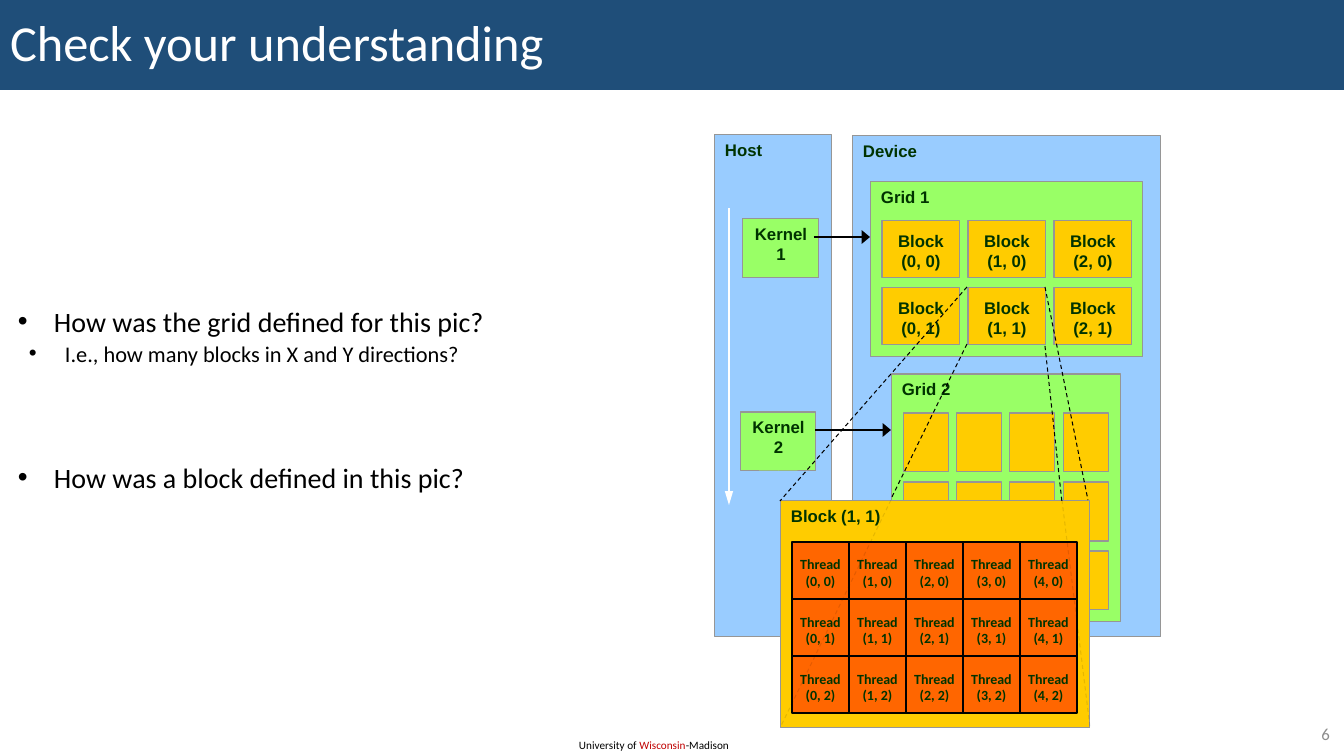
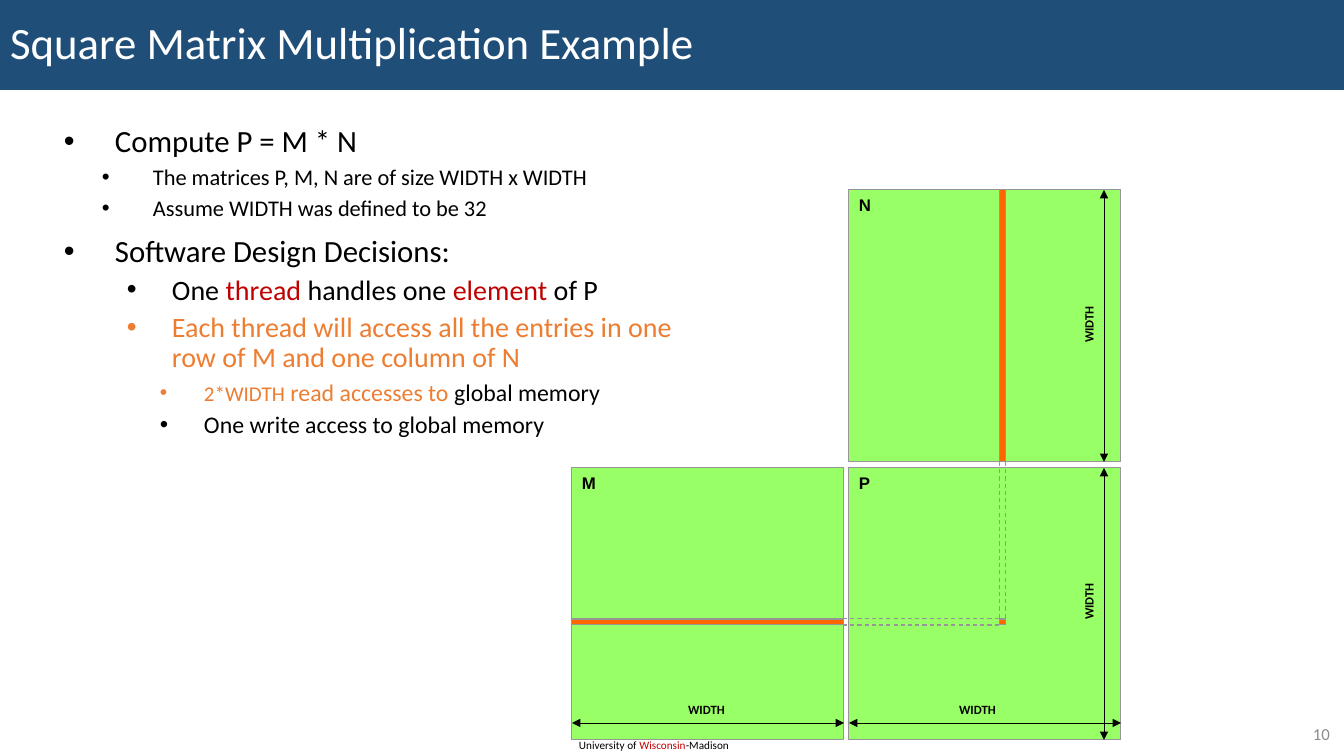
from pptx import Presentation
from pptx import util as u
from pptx.dml import color
from pptx.enum import dml, shapes, text
from pptx.oxml.ns import qn
from lxml import etree

PX = 12192000 / 1344
rgb = color.RGBColor.from_string
LEFT, CENTER, RIGHT = text.PP_ALIGN.LEFT, text.PP_ALIGN.CENTER, text.PP_ALIGN.RIGHT
TOP, MIDDLE = text.MSO_ANCHOR.TOP, text.MSO_ANCHOR.MIDDLE

NAVY, BLUE, GREEN = "1F4E79", "99CCFF", "99FF66"
YELLOW, ORANGE, ACCENT = "FFCC00", "FF6600", "ED7D31"
WHITE, BLACK, GRAY = "FFFFFF", "000000", "969696"
RED, INK, NUMBER = "C00000", "003300", "8C8C8C"


def box(s, x, y, w, h, label="", fill=None, edge=GRAY, size=12, font="Arial", ink=INK,
        bold=True, align=LEFT, anchor=TOP, inset=(10, 5, 10, 5)):
    at = [round(n * PX) for n in (x, y, w, h)]
    if fill:
        sp = s.shapes.add_shape(shapes.MSO_SHAPE.RECTANGLE, *at)
        sp.shadow.inherit = False
        sp.fill.solid()
        sp.fill.fore_color.rgb = rgb(fill)
        sp.line.color.rgb = rgb(edge)
        sp.line.width = u.Pt(1 if edge == BLACK else 0.75)
    else:
        sp = s.shapes.add_textbox(*at)
    tf = sp.text_frame
    tf.word_wrap = True
    tf.vertical_anchor = anchor
    tf.margin_left, tf.margin_top, tf.margin_right, tf.margin_bottom = [round(n * PX) for n in inset]
    if label:
        tf.text = label
    for p in tf.paragraphs:
        p.alignment = align
        for r in p.runs:
            r.font.size, r.font.name, r.font.bold = u.Pt(size), font, bold
            r.font.color.rgb = rgb(ink)
    return sp


def line(s, x1, y1, x2, y2, ink=BLACK, width=0.75, dash=False, ends=(), head=("med", "med"), alpha=None):
    at = [round(n * PX) for n in (x1, y1, x2, y2)]
    c = s.shapes.add_connector(shapes.MSO_CONNECTOR.STRAIGHT, *at)
    c.line.color.rgb = rgb(ink)
    c.line.width = u.Pt(width)
    if dash:
        c.line.dash_style = dml.MSO_LINE.DASH
    spPr = c._element.spPr
    ln = spPr.find(qn("a:ln"))
    if alpha:
        etree.SubElement(ln.find(".//" + qn("a:srgbClr")), qn("a:alpha"), val=str(alpha * 1000))
    for end in ends:
        etree.SubElement(ln, qn(end), type="triangle", w=head[0], len=head[1])
    etree.SubElement(spPr, qn("a:effectLst"))


TAIL = ("a:tailEnd",)
BOTH = ("a:headEnd", "a:tailEnd")

decks = [
    ("Check your understanding", 36, "6", (0, 306, 536, 220), 0.8, [
        (0, 44, 36, 0, [("How was the grid defined for this pic?", 20, BLACK)]),
        (1, 55, 36, 5, [("I.e., how many blocks in X and Y directions?", 16, BLACK)]),
        (0, 44, 36, 72, [("How was a block defined in this pic?", 20, BLACK)]),
    ]),
    ("Square Matrix Multiplication Example", 32, "10", (54, 121, 649, 361), 0.9, [
        (0, 51, 51, 0, [("Compute P = M * N", 22, BLACK)]),
        (1, 89, 51, 5, [("The matrices P, M, N are of size WIDTH x WIDTH", 16, BLACK)]),
        (1, 89, 51, 5, [("Assume WIDTH was defined to be 32", 16, BLACK)]),
        (0, 51, 51, 10, [("Software Design Decisions:", 22, BLACK)]),
        (1, 108, 45, 5, [("One ", 20, BLACK), ("thread", 20, RED), (" handles one ", 20, BLACK),
                         ("element", 20, RED), (" of P", 20, BLACK)]),
        (1, 108, 45, 5, [("Each thread will access all the entries in one row of M "
                          "and one column of N", 20, ACCENT)]),
        (2, 140, 44, 5, [("2*WIDTH", 15, ACCENT), (" read accesses to ", 17, ACCENT),
                         ("global memory", 17, BLACK)]),
        (2, 140, 44, 5, [("One write access to global memory", 17, BLACK)]),
    ]),
]
footer = (0, 0, 0, 0, [("University of ", 8, BLACK), ("Wisconsin", 8, RED), ("-Madison", 8, BLACK)])

prs = Presentation()
prs.slide_width, prs.slide_height = round(1344 * PX), round(756 * PX)

for title, title_size, number, body_at, spacing, body in decks:
    s = prs.slides.add_slide(prs.slide_layouts[6])
    foot = box(s, 569, 733, 173, 24)
    bar = box(s, 0, 0, 1344, 90, title, NAVY, size=title_size, font="Calibri", ink=WHITE,
              bold=False, anchor=MIDDLE)
    bar.line.fill.background()
    bar.text_frame.paragraphs[0].line_spacing = 0.9
    box(s, 1263, 719, 77, 29, number, font="Calibri", ink=NUMBER, bold=False, align=RIGHT, anchor=MIDDLE)
    main = box(s, *body_at)
    for sp, items, ls in ((foot, [footer], 1.0), (main, body, spacing)):
        tf = sp.text_frame
        for i, (level, left, hang, before, runs) in enumerate(items):
            p = tf.add_paragraph() if i else tf.paragraphs[0]
            if hang:
                pPr = p._p.get_or_add_pPr()
                pPr.set("marL", str(round(left * PX)))
                pPr.set("indent", str(-round(hang * PX)))
                etree.SubElement(pPr, qn("a:buFont"), typeface="Arial")
                etree.SubElement(pPr, qn("a:buChar"), char="•")
            p.level = level
            p.line_spacing = ls
            p.space_before = u.Pt(before)
            for words, size, ink in runs:
                r = p.add_run()
                r.text = words
                r.font.size, r.font.name = u.Pt(size), "Calibri"
                r.font.color.rgb = rgb(ink)

s = prs.slides[0]
box(s, 715, 135, 117, 502, "Host", BLUE)
box(s, 743, 219, 76, 59, "Kernel 1", GREEN, align=CENTER)
box(s, 741, 412, 75, 59, "Kernel 2", GREEN, align=CENTER)
line(s, 729, 208, 729, 505, WHITE, 1, ends=TAIL, head=("med", "lg"))
box(s, 853, 136, 308, 501, "Device", BLUE)
box(s, 871, 182, 272, 175, "Grid 1", GREEN)
for row in range(2):
    for col in range(3):
        box(s, 882 + 86 * col, 221 + 67 * row, 78, 57, f"Block\n({col}, {row})", YELLOW,
            align=CENTER, inset=(0, 10, 0, 0))
box(s, 892, 374, 229, 248, "Grid 2", GREEN)
for row, cols in enumerate((range(4), range(4), (3,))):
    for col in cols:
        box(s, 904 + 160 * col // 3, 413 + 69 * row, 45, 59, fill=YELLOW)

box(s, 781, 501, 309, 227, "Block (1, 1)", YELLOW)
CELL, ROWS, COLS, X0, Y0 = 57, 3, 5, 792, 542
box(s, X0, Y0, CELL * COLS, CELL * ROWS, fill=ORANGE, edge=BLACK)
for row in range(1, ROWS):
    line(s, X0, Y0 + CELL * row, X0 + CELL * COLS, Y0 + CELL * row, width=1)
for col in range(1, COLS):
    line(s, X0 + CELL * col, Y0, X0 + CELL * col, Y0 + CELL * ROWS, width=1)
for row in range(ROWS):
    for col in range(COLS):
        box(s, X0 + CELL * col, Y0 + 14 + CELL * row, CELL, 29, f"Thread\n({col}, {row})",
            size=10, font="Calibri", align=CENTER, inset=(0, 0, 0, 0))

line(s, 814, 237, 870, 237, width=1.5, ends=TAIL, head=("lg", "med"))
line(s, 815, 430, 891, 430, width=1.5, ends=TAIL, head=("lg", "med"))
for x1, y1, x2, y2, alpha in (
    (967, 287, 780, 501, None),
    (1045, 287, 1088, 500, None),
    (967, 344, 891, 499, None),
    (1045, 346, 1062, 502, None),
    (891, 500, 781, 726, 10),
    (1062, 500, 1090, 727, 10),
):
    line(s, x1, y1, x2, y2, dash=True, alpha=alpha)

s = prs.slides[1]
SIDE, BAR = 272, 6
for name, x, y in (("M", 572, 468), ("N", 849, 190), ("P", 849, 468)):
    box(s, x, y, SIDE, SIDE, name, GREEN, ink=BLACK)
for x, y, w, h in ((1000, 190, BAR, SIDE), (572, 619, SIDE, BAR), (1000, 619, BAR, BAR)):
    box(s, x, y, w, h, fill=ORANGE)
for offset in (0, BAR):
    line(s, 1000 + offset, 462, 1000 + offset, 619, GRAY, dash=True)
    line(s, 843, 619 + offset, 1000, 619 + offset, GRAY, dash=True)
for x1, y1, x2, y2, label_x, label_y, turn in (
    (844, 723, 572, 723, 688, 702, 0),
    (1121, 723, 849, 723, 959, 702, 0),
    (1104, 462, 1104, 190, 1070, 317, 270),
    (1104, 740, 1104, 468, 1070, 594, 270),
):
    line(s, x1, y1, x2, y2, width=0.5, ends=BOTH)
    sp = box(s, label_x, label_y, 37, 15, "WIDTH", size=9, font="Calibri", ink=BLACK,
             align=CENTER, inset=(0, 0, 0, 0))
    sp.rotation = turn

prs.save("out.pptx")
